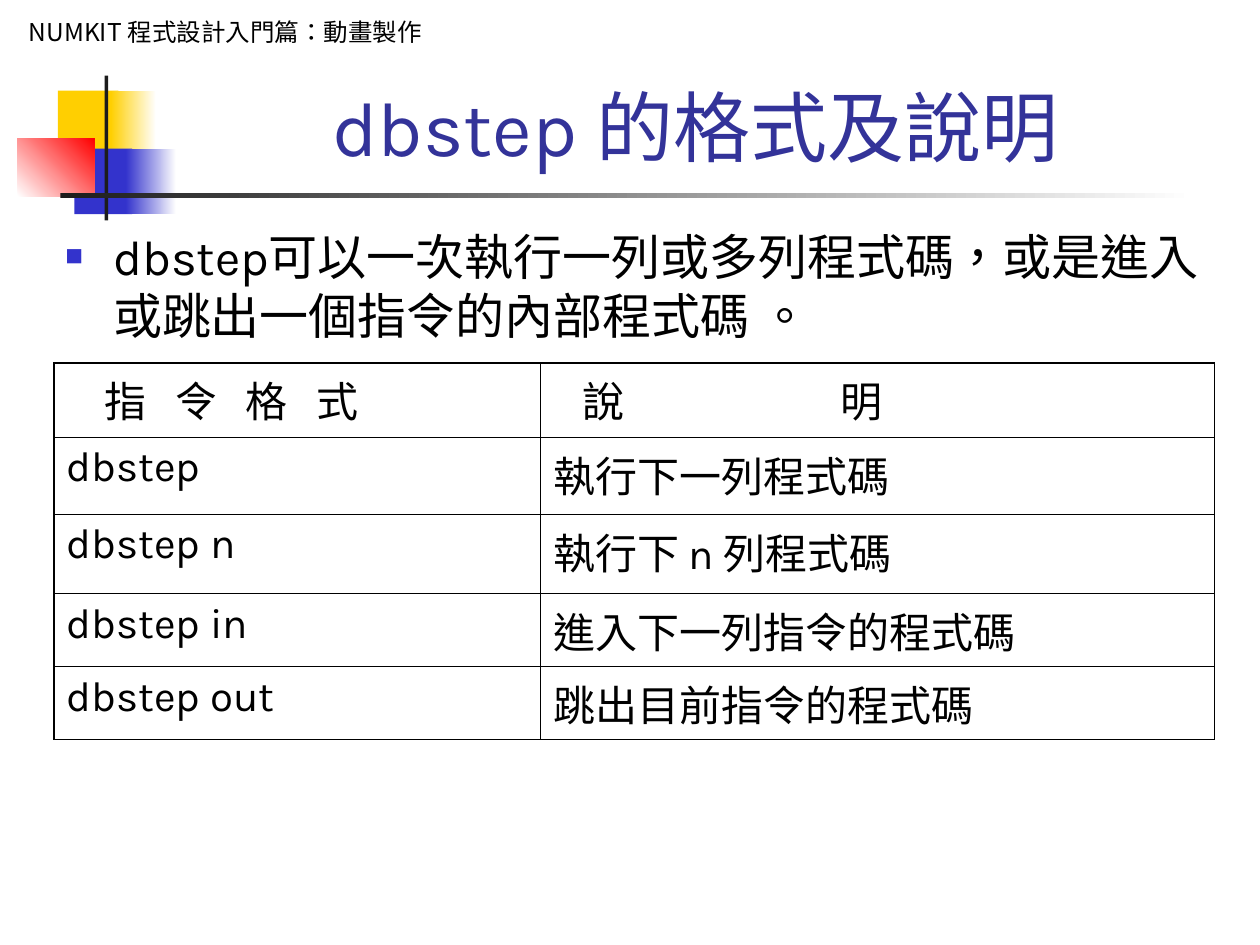
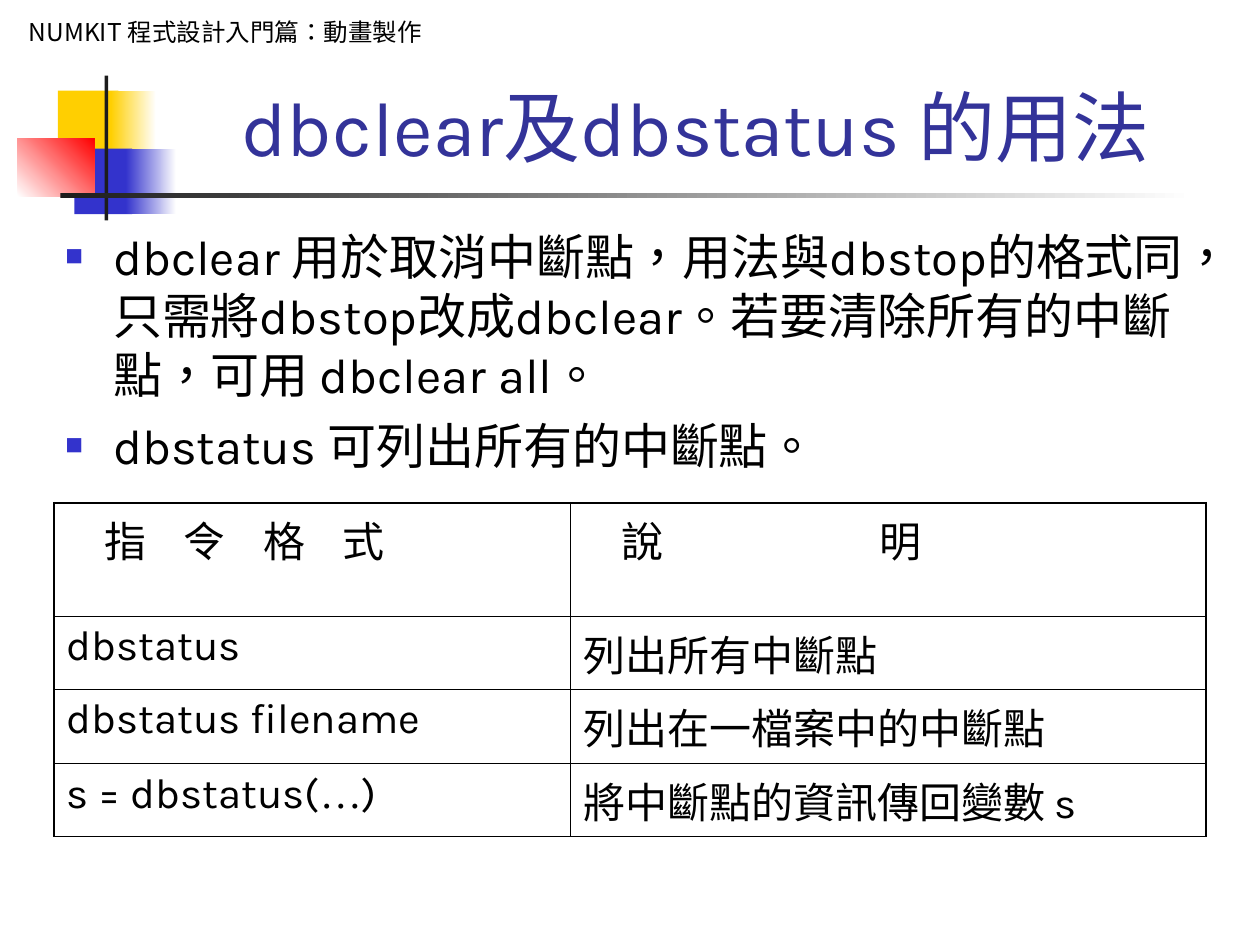
from dataclasses import dataclass
from itertools import groupby
from typing import NamedTuple

from lxml.etree import SubElement
from pptx import Presentation
from pptx.dml.color import RGBColor
from pptx.enum.shapes import MSO_SHAPE
from pptx.enum.text import MSO_ANCHOR, PP_ALIGN
from pptx.oxml.ns import qn
from pptx.util import Inches, Pt

WHITE, BLACK, DARK = "FFFFFF", "000000", "1C1C1C"
GOLD, BLUE, RED, NAVY = "FFCF01", "3333CC", "FF0000", "333399"
LATIN, ASIAN, SERIF = "Karla", "Noto Sans CJK SC", "Times New Roman"
HEADER = "NUMKIT 程式設計入門篇：動畫製作"


class Box(NamedTuple):
    left: float
    top: float
    width: float
    height: float

    def emu(self) -> list:
        return [Inches(side) for side in self]


@dataclass
class Block:
    box: Box
    start: str
    end: str = ""  # a second colour makes a gradient
    angle: float = 0


@dataclass
class Grid:
    box: Box
    cols: list[float]
    rows: list[float]
    stops: list[list[float]]  # header tab stops: first, step
    cells: list[tuple[str, str]]


@dataclass
class Page:
    title: str
    width: float  # of the body
    points: list[str]
    grid: Grid


# Corner ornament and rule, back to front
BLOCKS = [
    Block(Box(0.46, 0.72, 0.48, 0.52), GOLD),
    Block(Box(0.88, 0.72, 0.36, 0.52), GOLD, WHITE),
    Block(Box(0.59, 1.18, 0.46, 0.52), BLUE),
    Block(Box(1, 1.18, 0.4, 0.52), BLUE, WHITE),
    Block(Box(0.14, 1.1, 0.61, 0.46), WHITE, RED, 45),
    Block(Box(0.83, 0.6, 0.03, 1.15), DARK),
    Block(Box(0.48, 1.53, 9, 0.04), DARK, WHITE),
]

PAGES = [
    Page(
        "dbstep 的格式及說明",
        9.23,
        ["dbstep可以一次執行一列或多列程式碼，或是進入或跳出一個指令的內部程式碼 。"],
        Grid(
            Box(0.43, 2.88, 9.21, 2.99),
            [3.86, 5.35],
            [0.59, 0.61, 0.63, 0.58, 0.58],
            [[0.3, 0.56], [0.23, 2.05]],
            [
                ("指令格式", "說明"),
                ("dbstep", "執行下一列程式碼"),
                ("dbstep n", "執行下 n 列程式碼"),
                ("dbstep in", "進入下一列指令的程式碼"),
                ("dbstep out", "跳出目前指令的程式碼"),
            ],
        ),
    ),
    Page(
        "dbclear及dbstatus 的用法",
        9.07,
        [
            "dbclear 用於取消中斷點，用法與dbstop的格式同，只需將dbstop改成dbclear。"
            "若要清除所有的中斷點，可用 dbclear all。",
            "dbstatus 可列出所有的中斷點。",
        ],
        Grid(
            Box(0.43, 3.99, 9.14, 2.65),
            [4.1, 5.04],
            [0.9, 0.58, 0.59, 0.58],
            [[0.3, 0.63], [0.3, 2.05]],
            [
                ("指令格式", "說明"),
                ("dbstatus", "列出所有中斷點"),
                ("dbstatus filename", "列出在一檔案中的中斷點"),
                ("s = dbstatus(…)", "將中斷點的資訊傳回變數 s"),
            ],
        ),
    ),
]


def tint(code: str) -> RGBColor:
    return RGBColor.from_string(code)


def write(para, text: str, size: float = 24, color: str = BLACK, font: str = LATIN,
          align=PP_ALIGN.LEFT, before: float = 0) -> None:
    """Fill a paragraph; ellipses get the serif face."""
    para.alignment = align
    para.space_before = Pt(before)
    for dots, part in groupby(text, lambda sign: sign == "…"):
        run = para.add_run()
        run.text = "".join(part)
        face = run.font
        face.size, face.name = Pt(size), SERIF if dots else font
        face.color.rgb = tint(color)
        props = run._r.get_or_add_rPr()
        props.set("lang", "zh-TW")
        SubElement(props, qn("a:ea")).set("typeface", SERIF if dots else ASIAN)


def bullet(para) -> None:
    props = para._p.get_or_add_pPr()
    props.set("marL", str(Inches(0.38)))
    props.set("indent", str(-Inches(0.38)))
    SubElement(SubElement(props, qn("a:buClr")), qn("a:srgbClr")).set("val", BLUE)
    SubElement(props, qn("a:buSzPct")).set("val", "60000")
    SubElement(props, qn("a:buFont")).set("typeface", SERIF)
    SubElement(props, qn("a:buChar")).set("char", "■")


def tabs(para, first: float, step: float, count: int) -> None:
    stops = SubElement(para._p.get_or_add_pPr(), qn("a:tabLst"))
    for i in range(count):
        stop = SubElement(stops, qn("a:tab"))
        stop.set("pos", str(Inches(first + i * step)))
        stop.set("algn", "l")


def block(slide, item: Block) -> None:
    shape = slide.shapes.add_shape(MSO_SHAPE.RECTANGLE, *item.box.emu())
    shape.shadow.inherit = False
    shape.line.fill.background()
    if item.end:
        shape.fill.gradient()
        shape.fill.gradient_angle = item.angle
        for stop, code in zip(shape.fill.gradient_stops, (item.start, item.end)):
            stop.color.rgb = tint(code)
    else:
        shape.fill.solid()
        shape.fill.fore_color.rgb = tint(item.start)


def frame(slide, box: Box, anchor=MSO_ANCHOR.TOP, wrap: bool = True):
    area = slide.shapes.add_textbox(*box.emu()).text_frame
    area.word_wrap, area.vertical_anchor = wrap, anchor
    return area


def edge(cell, side: str, outer: bool) -> None:
    line = SubElement(cell._tc.get_or_add_tcPr(), qn(f"a:ln{side}"))
    line.set("w", str(Pt(1.08 if outer else 0.45)))
    SubElement(SubElement(line, qn("a:solidFill")), qn("a:srgbClr")).set("val", BLACK)


def table(slide, grid: Grid) -> None:
    high, wide = len(grid.rows), len(grid.cols)
    sheet = slide.shapes.add_table(high, wide, *grid.box.emu()).table
    sheet.first_row = sheet.horz_banding = False
    for col, width in zip(sheet.columns, grid.cols):
        col.width = Inches(width)
    for row, height in zip(sheet.rows, grid.rows):
        row.height = Inches(height)
    for r, texts in enumerate(grid.cells):
        for c, text in enumerate(texts):
            cell = sheet.cell(r, c)
            para = cell.text_frame.paragraphs[0]
            if r == 0:  # spread the heading over tab stops
                write(para, "".join("\t" + sign for sign in text), before=6)
                tabs(para, *grid.stops[c], len(text))
            else:
                write(para, text, before=6)
            for side, outer in (("L", c == 0), ("R", c == wide - 1),
                                ("T", r == 0), ("B", r == high - 1)):
                edge(cell, side, outer)
            cell.fill.background()


def base(slide, title: str) -> None:
    """Draw what every slide shares."""
    for item in BLOCKS:
        block(slide, item)
    head = frame(slide, Box(0.08, 0.08, 3.42, 0.34), MSO_ANCHOR.MIDDLE, False)
    write(head.paragraphs[0], HEADER, size=14, font=ASIAN, align=PP_ALIGN.CENTER)
    name = frame(slide, Box(1.26, 0.58, 8.52, 0.83), MSO_ANCHOR.BOTTOM)
    write(name.paragraphs[0], title, size=44, color=NAVY, align=PP_ALIGN.CENTER)


def build(deck, page: Page) -> None:
    slide = deck.slides.add_slide(deck.slide_layouts[6])
    base(slide, page.title)
    # Bulleted body
    body = frame(slide, Box(0.42, 1.75, page.width, 5.08))
    for i, text in enumerate(page.points):
        para = body.add_paragraph() if i else body.paragraphs[0]
        write(para, text, size=28, before=7)
        bullet(para)
    table(slide, page.grid)


def main() -> None:
    deck = Presentation()
    deck.slide_width, deck.slide_height = Inches(10), Inches(7.5)
    for page in PAGES:
        build(deck, page)
    deck.save("out.pptx")


if __name__ == "__main__":
    main()
